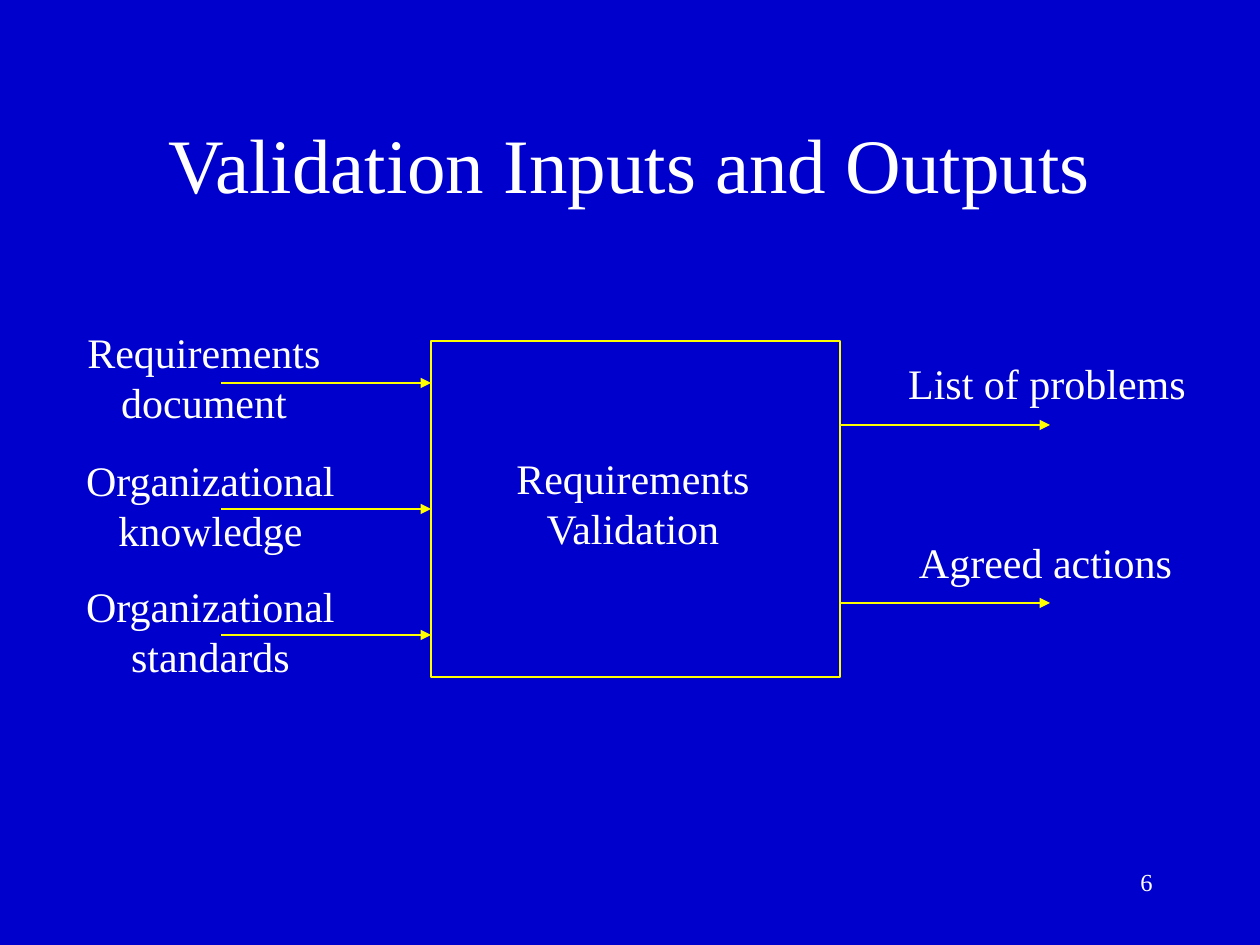
from lxml import etree
from pptx import Presentation
from pptx.dml.color import RGBColor
from pptx.enum.shapes import MSO_CONNECTOR, MSO_SHAPE
from pptx.enum.text import MSO_ANCHOR, MSO_AUTO_SIZE, PP_ALIGN
from pptx.oxml.ns import qn
from pptx.util import Emu, Pt

STRAIGHT = MSO_CONNECTOR.STRAIGHT
RECTANGLE = MSO_SHAPE.RECTANGLE
MIDDLE = MSO_ANCHOR.MIDDLE
GROW = MSO_AUTO_SIZE.SHAPE_TO_FIT_TEXT
NO_FIT = MSO_AUTO_SIZE.NONE
CENTER, RIGHT = PP_ALIGN.CENTER, PP_ALIGN.RIGHT

PIXELS_PER_INCH = 126
BLUE, WHITE, YELLOW = "0000CC", "FFFFFF", "FFFF00"
FONT = "Times New Roman"
LEFT_SIDE = 1

PROCESS_LEFT, PROCESS_TOP, PROCESS_WIDTH, PROCESS_HEIGHT = 431, 341, 409, 336
PROCESS_RIGHT = PROCESS_LEFT + PROCESS_WIDTH
PROCESS_MIDDLE = PROCESS_TOP + PROCESS_HEIGHT // 2
ARROW_LENGTH = 210
INPUT_STEP = 126
OUTPUT_ARROWS = [425, 603]

LABELS = [
    (["Requirements", "Validation"], 501, 446, 264, 113),
    (["Requirements", "document"], 72, 320, 264, 113),
    (["Organizational", "knowledge"], 71, 448, 279, 113),
    (["Organizational", "standards"], 71, 574, 279, 113),
    (["List of problems"], 893, 351, 308, 63),
    (["Agreed actions"], 904, 530, 283, 63),
]


def px(length):
    return Emu(round(length * 914400 / PIXELS_PER_INCH))


def color(code):
    return RGBColor.from_string(code)


def write(frame, lines, size, align):
    frame.text = "\n".join(lines)
    for para in frame.paragraphs:
        para.alignment = align
        para.font.name = FONT
        para.font.size = Pt(size)
        para.font.color.rgb = color(WHITE)


def set_title(page, text):
    title = page.shapes.title
    title.left, title.top, title.width, title.height = map(px, (94, 84, 1071, 158))
    title.text_frame.auto_size = NO_FIT
    title.text_frame.vertical_anchor = MIDDLE
    write(title.text_frame, [text], 44, CENTER)


def add_label(page, lines, left, top, width, height):
    box = page.shapes.add_textbox(px(left), px(top), px(width), px(height))
    box.text_frame.word_wrap = False
    box.text_frame.auto_size = GROW
    write(box.text_frame, lines, 24, CENTER)


def add_page_number(page, number):
    box = page.shapes.add_textbox(px(903), px(861), px(262), px(63))
    box.text_frame.word_wrap = True
    write(box.text_frame, [number], 14, RIGHT)


def style_line(line):
    line.color.rgb = color(YELLOW)
    line.width = Pt(0.75)


def add_process(page):
    process = page.shapes.add_shape(
        RECTANGLE, px(PROCESS_LEFT), px(PROCESS_TOP), px(PROCESS_WIDTH), px(PROCESS_HEIGHT)
    )
    process.shadow.inherit = False
    process.fill.background()
    style_line(process.line)
    return process


def add_arrow(page, left, y):
    arrow = page.shapes.add_connector(
        STRAIGHT, px(left), px(y), px(left + ARROW_LENGTH), px(y)
    )
    style_line(arrow.line)
    properties = arrow.element.spPr
    etree.SubElement(properties.find(qn("a:ln")), qn("a:tailEnd"), type="triangle")
    etree.SubElement(properties, qn("a:effectLst"))
    return arrow


def main():
    deck = Presentation()
    deck.slide_width, deck.slide_height = px(1260), px(945)
    page = deck.slides.add_slide(deck.slide_layouts[5])
    page.background.fill.solid()
    page.background.fill.fore_color.rgb = color(BLUE)

    add_page_number(page, "6")
    set_title(page, "Validation Inputs and Outputs")
    process = add_process(page)
    for offset in (-INPUT_STEP, 0, INPUT_STEP):
        arrow = add_arrow(page, PROCESS_LEFT - ARROW_LENGTH, PROCESS_MIDDLE + offset)
        if offset == 0:
            arrow.end_connect(process, LEFT_SIDE)
    for y in OUTPUT_ARROWS:
        add_arrow(page, PROCESS_RIGHT, y)
    for label in LABELS:
        add_label(page, *label)

    deck.save("out.pptx")


if __name__ == "__main__":
    main()
